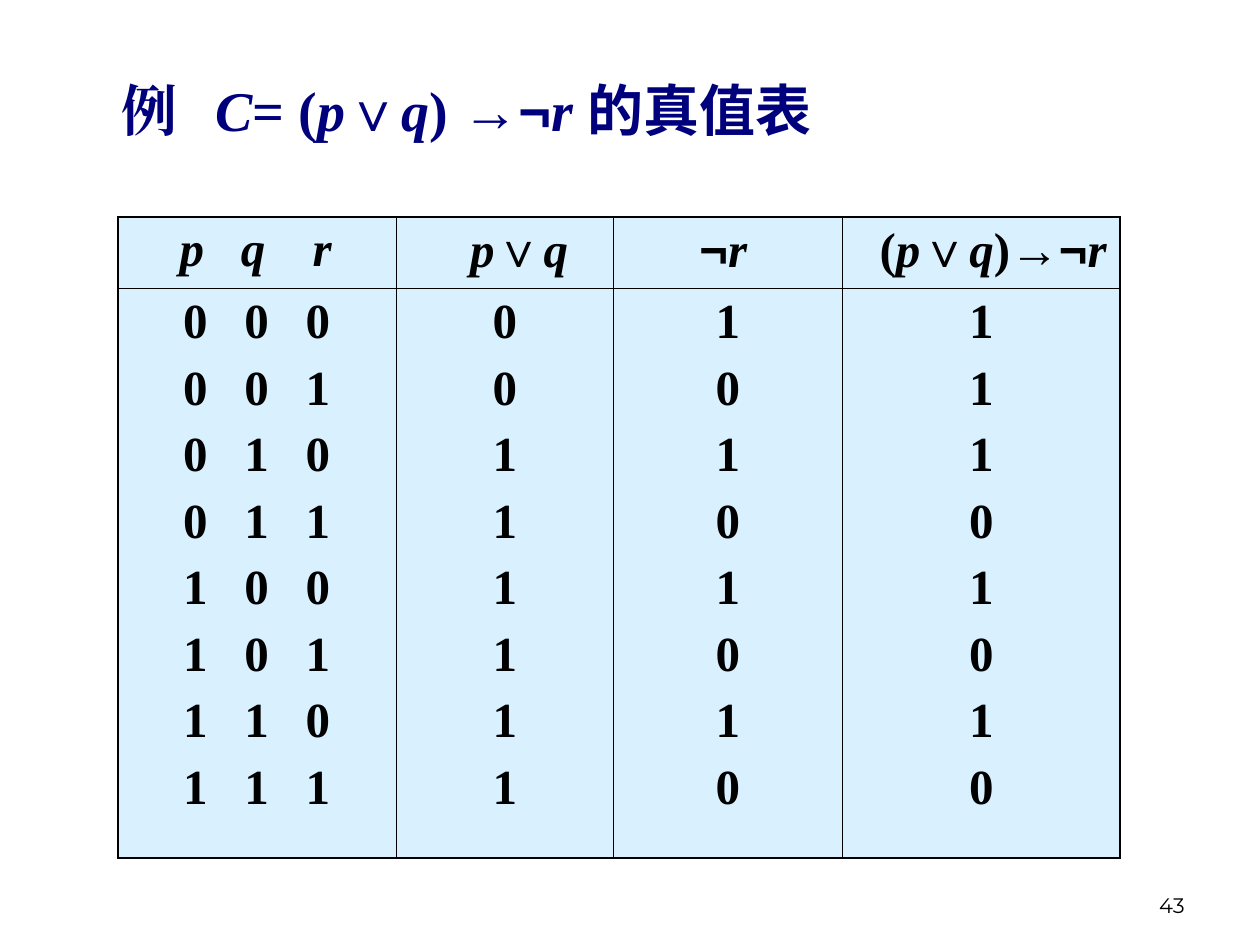
from pptx import Presentation
from pptx.dml.color import RGBColor
from pptx.enum.text import MSO_ANCHOR, MSO_AUTO_SIZE, PP_ALIGN
from pptx.oxml.ns import qn
from pptx.util import Pt
from lxml import etree

LEFT, CENTER, RIGHT = PP_ALIGN.LEFT, PP_ALIGN.CENTER, PP_ALIGN.RIGHT
TOP, BOTTOM = MSO_ANCHOR.TOP, MSO_ANCHOR.BOTTOM
NO_FIT = MSO_AUTO_SIZE.NONE

COLORS = {"title": "00007D", "text": "000000", "cell": "D9F1FF", "border": "000000"}
SERIF, SANS, CJK = "Times New Roman", "Arial", "Noto Sans CJK SC"
STYLES = {
    "var": {"name": SERIF, "italic": True},
    "plain": {"name": SERIF, "italic": False},
    "sym": {"name": SANS, "italic": False},
    "cjk": {"name": CJK, "italic": False},
}

TITLE = [("例\t", "plain"), ("C", "var"), ("= (", "plain"), ("p", "var"),
         ("∨", "sym"), ("q", "var"), (") ", "plain"), ("→¬", "sym"),
         ("r ", "var"), ("的", "sym"), ("真值表", "cjk")]
# Header runs with the indent of each column
HEADERS = [
    ([("\tp\tq\tr", "var")], 0),
    ([("p", "var"), ("∨", "sym"), ("q", "var")], 35),
    ([("¬", "sym"), ("r", "var")], 42),
    ([("(", "plain"), ("p", "var"), ("∨", "sym"), ("q", "var"),
      (")", "plain"), ("→¬", "sym"), ("r", "var")], 14),
]
HEADER_TABS, VALUE_TABS, TITLE_TABS = (28, 63, 104), (30, 65, 100), (54,)
COL_WIDTHS, ROW_HEIGHTS = (159, 124, 131, 158.5), (41, 325.5)
OUTER, INNER = 1.08, 0.45


def rgb(key):
    return RGBColor.from_string(COLORS[key])


def set_tabs(p, stops):
    pPr = p._p.get_or_add_pPr()
    tabs = etree.SubElement(pPr, qn("a:tabLst"))
    for stop in stops:
        etree.SubElement(tabs, qn("a:tab"), pos=str(Pt(stop)), algn="l")


def add_runs(p, runs, size, color):
    for text, style in runs:
        r = p.add_run()
        r.text = text
        fmt = {"size": Pt(size), "bold": True, **STYLES[style]}
        for name, value in fmt.items():
            setattr(r.font, name, value)
        r.font.color.rgb = rgb(color)
        # East Asian characters and symbols take their own typeface
        etree.SubElement(r._r.get_or_add_rPr(), qn("a:ea"), typeface=fmt["name"])


def add_title(s):
    sp = s.shapes.title
    box = {"left": 62, "top": 39.5, "width": 601, "height": 46}
    for name, value in box.items():
        setattr(sp, name, Pt(value))
    tf = sp.text_frame
    tf.auto_size, tf.vertical_anchor, tf.word_wrap = NO_FIT, TOP, True
    p = tf.paragraphs[0]
    p.alignment = LEFT
    set_tabs(p, TITLE_TABS)
    add_runs(p, TITLE, 32, "title")


def style_cell(cell, row, col):
    """Fill the cell, with a heavier line where it meets the table's edge."""
    edges = {"a:lnL": col == 0, "a:lnR": col == len(COL_WIDTHS) - 1,
             "a:lnT": row == 0, "a:lnB": row == len(ROW_HEIGHTS) - 1}
    tcPr = cell._tc.get_or_add_tcPr()
    for tag, is_outer in edges.items():
        ln = etree.SubElement(tcPr, qn(tag), w=str(Pt(OUTER if is_outer else INNER)))
        fill = etree.SubElement(ln, qn("a:solidFill"))
        etree.SubElement(fill, qn("a:srgbClr"), val=COLORS["border"])
    cell.fill.solid()
    cell.fill.fore_color.rgb = rgb("cell")


def fill_header(cell, runs, indent):
    p = cell.text_frame.paragraphs[0]
    p._p.get_or_add_pPr().set("marL", str(Pt(indent)))
    if not indent:
        set_tabs(p, HEADER_TABS)
    add_runs(p, runs, 28, "text")


def fill_values(cell, values):
    tf = cell.text_frame
    for i, value in enumerate(values):
        p = tf.paragraphs[0] if i == 0 else tf.add_paragraph()
        if "\t" in value:
            set_tabs(p, VALUE_TABS)
        else:
            p.alignment = CENTER
        if i:
            p.space_before = Pt(7)
        add_runs(p, [(value, "plain")], 28, "text")


def truth_columns():
    """Return the four columns of the truth table as lists of strings."""
    rows = []
    for n in range(8):
        p, q, r = n >> 2 & 1, n >> 1 & 1, n & 1
        either, not_r = p | q, 1 - r
        rows.append((f"\t{p}\t{q}\t{r}", str(either), str(not_r),
                     str((1 - either) | not_r)))
    return list(zip(*rows))


def add_truth_table(s):
    table = s.shapes.add_table(len(ROW_HEIGHTS), len(COL_WIDTHS), Pt(67.5), Pt(124),
                               Pt(sum(COL_WIDTHS)), Pt(sum(ROW_HEIGHTS))).table
    table.first_row = table.horz_banding = False
    for row, height in zip(table.rows, ROW_HEIGHTS):
        row.height = Pt(height)
    for col, (width, header, values) in enumerate(
            zip(COL_WIDTHS, HEADERS, truth_columns())):
        table.columns[col].width = Pt(width)
        fill_header(table.cell(0, col), *header)
        fill_values(table.cell(1, col), values)
        for row in range(len(ROW_HEIGHTS)):
            style_cell(table.cell(row, col), row, col)


def add_page_number(s):
    tf = s.shapes.add_textbox(Pt(516), Pt(492), Pt(168), Pt(36)).text_frame
    tf.word_wrap, tf.vertical_anchor = True, BOTTOM
    p = tf.paragraphs[0]
    p.alignment = RIGHT
    r = p.add_run()
    r.text = "43"
    for name, value in {"name": "Montserrat", "size": Pt(12)}.items():
        setattr(r.font, name, value)
    r.font.color.rgb = rgb("text")


def main():
    prs = Presentation()
    prs.slide_width, prs.slide_height = Pt(720), Pt(540)
    s = prs.slides.add_slide(prs.slide_layouts[5])
    add_page_number(s)
    add_title(s)
    add_truth_table(s)
    prs.save("out.pptx")


if __name__ == "__main__":
    main()
